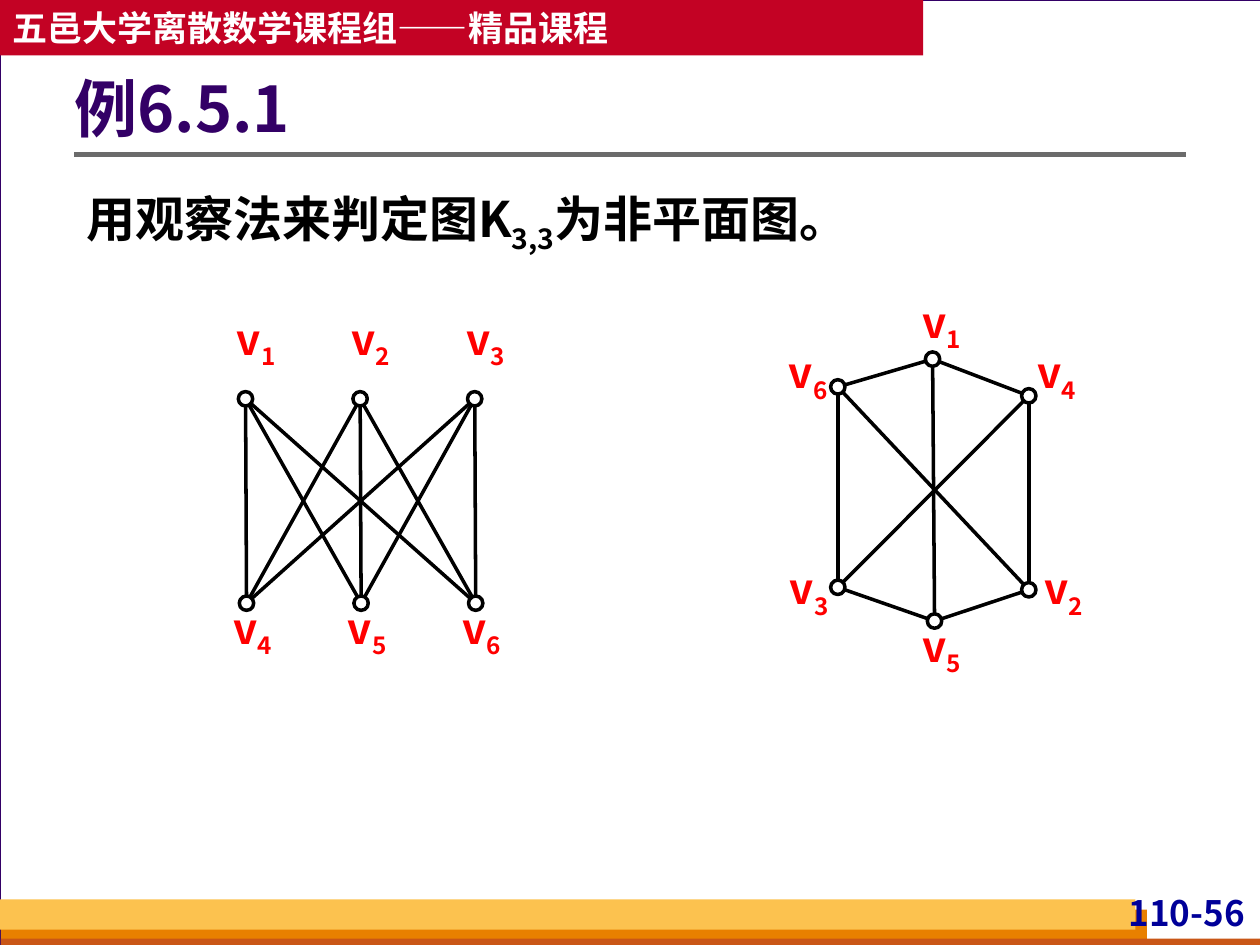
from lxml.etree import SubElement
from pptx import Presentation
from pptx.dml.color import RGBColor
from pptx.enum.shapes import MSO_CONNECTOR, MSO_SHAPE
from pptx.enum.text import MSO_ANCHOR, MSO_AUTO_SIZE, PP_ALIGN
from pptx.oxml.ns import qn
from pptx.util import Cm, Pt

FONT = "Noto Sans CJK SC"
COLORS = {
    "page": "FFFFFF", "frame": "330066", "banner": "C30224",
    "orange": "E88000", "rust": "C95616", "yellow": "FCC24F",
    "number": "000099", "rule": "6B6B6B", "ink": "000000", "label": "FF0000",
}


def write(box, text, size, color, align=PP_ALIGN.LEFT, anchor=MSO_ANCHOR.TOP,
          spacing=1.0, margins=(0.25, 0.13, 0.25, 0.13)):
    """Fill a box with one paragraph; every second part between bars is a subscript."""
    frame = box.text_frame
    frame.word_wrap = True
    frame.auto_size = MSO_AUTO_SIZE.NONE
    frame.vertical_anchor = anchor
    (frame.margin_left, frame.margin_top,
     frame.margin_right, frame.margin_bottom) = [Cm(margin) for margin in margins]
    para = frame.paragraphs[0]
    properties = para._p.get_or_add_pPr()
    properties.set("marL", "0")
    properties.set("indent", "0")
    SubElement(properties, qn("a:buNone"))
    para.alignment = align
    para.line_spacing = spacing
    para.space_before = Pt(0)
    for index, part in enumerate(text.split("|")):
        if not part:
            continue
        span = para.add_run()
        span.text = part
        span.font.size = Pt(size)
        span.font.bold = True
        span.font.name = FONT
        span.font.color.rgb = RGBColor.from_string(COLORS[color])
        SubElement(span.font._element, qn("a:ea")).set("typeface", FONT)
        if index % 2:
            span.font._element.set("baseline", "-25000")


def draw_line(shapes, start, end, color, width):
    line = shapes.add_connector(
        MSO_CONNECTOR.STRAIGHT, *[Cm(value) for value in (*start, *end)])
    line.line.color.rgb = RGBColor.from_string(COLORS[color])
    line.line.width = Pt(width)
    SubElement(line._element.spPr, qn("a:effectLst"))


deck = Presentation()
deck.slide_width, deck.slide_height = Cm(25.4), Cm(19.05)
page = deck.slides.add_slide(deck.slide_layouts[1])

# Page frame, banner and footer bands
bands = {}
for color, left, top, width, height in [
    ("page", 0, 0, 25.42, 19.05),
    ("banner", 0, 0, 18.61, 1.12),
    ("orange", 0.02, 18.34, 23.1, 0.71),
    ("rust", 0.02, 18.92, 25.4, 0.2),
    ("yellow", 0, 18.13, 22.89, 0.61),
]:
    band = page.shapes.add_shape(
        MSO_SHAPE.RECTANGLE, Cm(left), Cm(top), Cm(width), Cm(height))
    band.shadow.inherit = False
    band.fill.solid()
    band.fill.fore_color.rgb = RGBColor.from_string(COLORS[color])
    band.line.fill.background()
    bands[color] = band
bands["page"].line.color.rgb = RGBColor.from_string(COLORS["frame"])
bands["page"].line.width = Pt(0.75)
write(bands["banner"], "五邑大学离散数学课程组——精品课程", 20, "page",
      anchor=MSO_ANCHOR.MIDDLE)

number = page.shapes.add_textbox(Cm(22.1), Cm(17.98), Cm(3.1), Cm(0.84))
write(number, "110-56", 20, "number", align=PP_ALIGN.RIGHT, margins=(0.1, 0, 0.1, 0))
draw_line(page.shapes, (1.5, 3.12), (23.9, 3.12), "rule", 3)

# Title and statement, brought in front of the bands
title, body = page.shapes.title, page.placeholders[1]
for holder, top, height in [(title, 0.97, 2.57), (body, 3.4, 1.88)]:
    holder.left, holder.top, holder.width, holder.height = (
        Cm(1.5), Cm(top), Cm(22.4), Cm(height))
    page.shapes._spTree.append(holder._element)
write(title, "例6.5.1", 36, "frame", anchor=MSO_ANCHOR.MIDDLE, spacing=0.9,
      margins=(0, 0.13, 0.25, 0.13))
write(body, "用观察法来判定图K|3,3|为非平面图。", 28, "ink",
      align=PP_ALIGN.JUSTIFY, spacing=1.2)

# Two drawings of the same graph: vertex number -> (centre, label corner)
bipartite = {}
for column in range(3):
    x = 4.95 + 2.31 * column
    bipartite[column + 1] = ((x, 8.04), (x - 0.38, 6.32))
    bipartite[column + 4] = ((x + 0.02, 12.16), (x - 0.45, 12.14))
hexagon = {
    1: ((18.8, 7.24), (18.39, 5.97)),
    2: ((20.74, 11.89), (20.85, 11.35)),
    3: ((16.89, 11.84), (15.72, 11.35)),
    4: ((20.74, 7.98), (20.7, 6.99)),
    5: ((18.84, 12.52), (18.39, 12.5)),
    6: ((16.89, 7.8), (15.7, 6.99)),
}
DIAMETER = 0.29

for vertices in (bipartite, hexagon):
    graph = page.shapes.add_group_shape().shapes
    # Every vertex of 1-3 meets every vertex of 4-6
    for upper in (1, 2, 3):
        for lower in (4, 5, 6):
            draw_line(graph, vertices[upper][0], vertices[lower][0], "ink", 2)
    for name, ((x, y), (left, top)) in vertices.items():
        dot = graph.add_shape(
            MSO_SHAPE.OVAL, Cm(x - DIAMETER / 2), Cm(y - DIAMETER / 2),
            Cm(DIAMETER), Cm(DIAMETER))
        dot.shadow.inherit = False
        dot.fill.solid()
        dot.fill.fore_color.rgb = RGBColor.from_string(COLORS["page"])
        dot.line.color.rgb = RGBColor.from_string(COLORS["ink"])
        dot.line.width = Pt(2)
        label = graph.add_textbox(Cm(left), Cm(top), Cm(1.19), Cm(1.17))
        write(label, f"v|{name}", 24, "label", align=PP_ALIGN.CENTER,
              margins=(0, 0, 0, 0))

deck.save("out.pptx")
